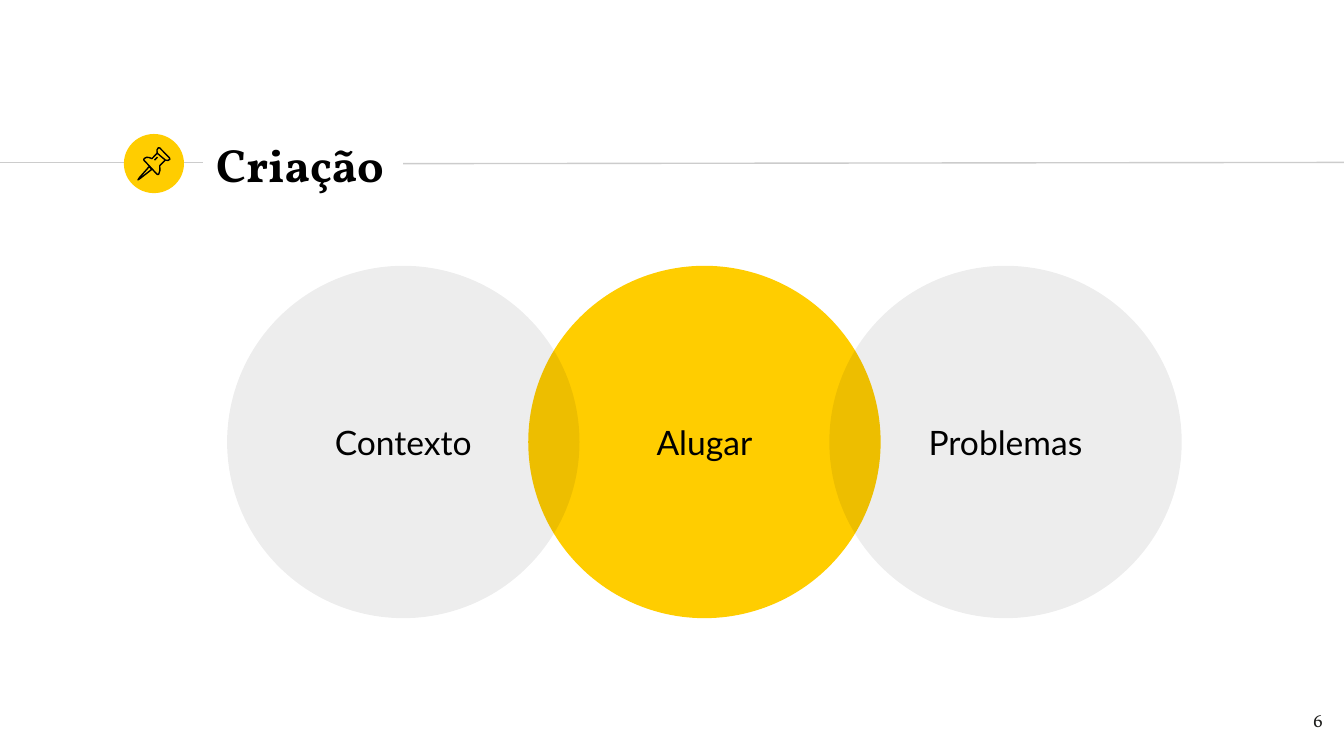
from lxml.etree import SubElement
from pptx import Presentation
from pptx.dml.color import RGBColor
from pptx.enum.shapes import MSO_CONNECTOR, MSO_SHAPE
from pptx.enum.text import MSO_ANCHOR, PP_ALIGN
from pptx.oxml.ns import qn
from pptx.util import Pt

YELLOW, BLACK, GREY = "FFCD00", "000000", "CCCCCC"
INSET = 7.2

# Pushpin outlines: points and whether the outline is closed
PIN_PARTS = [
    # Needle
    ([(79.9, 89.3), (74.9, 95), (73.9, 96.4), (75.2, 95.6), (81.4, 90.7)], True),
    # Head
    ([(84.2, 82.1), (88.6, 85.8), (90, 86), (91, 85.4), (90.8, 84.6),
      (85.6, 79.3), (84.8, 79.2), (84.1, 80.4)], True),
    # Body
    ([(84.2, 82.1), (81.4, 85), (79.9, 84.4), (78.5, 84.3), (77.2, 85),
      (77, 85.7), (84.2, 93.4), (85, 93.4), (85.7, 91.4), (85.6, 88.8),
      (88.6, 85.8)], False),
    # Glint
    ([(82.8, 85.8), (84.4, 84.2)], False),
]


def color(value):
    return RGBColor.from_string(value)


def write_text(shape, text, font, size, text_color, align, anchor, bold=False):
    frame = shape.text_frame
    frame.word_wrap = True
    frame.vertical_anchor = anchor
    frame.margin_left = frame.margin_right = Pt(INSET)
    frame.margin_top = frame.margin_bottom = Pt(INSET)
    paragraph = frame.paragraphs[0]
    paragraph.alignment = align
    run = paragraph.add_run()
    run.text = text
    run.font.name = font
    run.font.size = Pt(size)
    run.font.bold = bold
    run.font.color.rgb = color(text_color)


def add_rule(slide, start, end):
    line = slide.shapes.add_connector(
        MSO_CONNECTOR.STRAIGHT, *[Pt(value) for value in start + end])
    line.line.color.rgb = color(GREY)
    line.line.width = Pt(0.75)
    SubElement(line._element.spPr, qn("a:effectLst"))


def add_label(slide, box, text, **style):
    shape = slide.shapes.add_textbox(*[Pt(value) for value in box])
    write_text(shape, text, "Vollkorn", **style)


def add_disc(slide, kind, box, fill, opacity=100):
    disc = slide.shapes.add_shape(kind, *[Pt(value) for value in box])
    disc.shadow.inherit = False
    disc.line.fill.background()
    disc.fill.solid()
    disc.fill.fore_color.rgb = color(fill)
    if opacity < 100:
        fill_color = disc._element.spPr.find(qn("a:solidFill"))[0]
        SubElement(fill_color, qn("a:alpha"), val=str(opacity * 1000))
    return disc


def add_pin(slide):
    group = slide.shapes.add_group_shape()
    for outline, closed in PIN_PARTS:
        points = [(Pt(x), Pt(y)) for x, y in outline]
        builder = group.shapes.build_freeform(*points[0])
        builder.add_line_segments(points[1:], close=closed)
        part = builder.convert_to_shape()
        part.shadow.inherit = False
        part.fill.background()
        part.line.color.rgb = color(BLACK)
        part.line.width = Pt(0.75)


def add_venn(slide):
    left, top, diameter, step = 121.7, 142.4, 188.8, 161.3
    circles = [
        (1, "Alugar", YELLOW, 100),
        (0, "Contexto", BLACK, 7),
        (2, "Problemas", BLACK, 7),
    ]
    for column, text, fill, opacity in circles:
        box = (left + column * step, top, diameter, diameter)
        circle = add_disc(slide, MSO_SHAPE.OVAL, box, fill, opacity)
        write_text(circle, text, "Lato", 18, BLACK,
                   PP_ALIGN.CENTER, MSO_ANCHOR.MIDDLE)


def main():
    presentation = Presentation()
    presentation.slide_width, presentation.slide_height = Pt(720), Pt(405)
    slide = presentation.slides.add_slide(presentation.slide_layouts[6])

    # Rules on both sides of the title
    add_rule(slide, (-79.9, 87), (108.7, 87))
    add_rule(slide, (216, 87.7), (726.5, 87))

    # Page number and title
    add_label(slide, (672.5, 373.9, 43.2, 31), "6", size=10, text_color="1D1D1B",
              align=PP_ALIGN.RIGHT, anchor=MSO_ANCHOR.TOP)
    add_label(slide, (108.7, 70.6, 277.9, 34.6), "Criação", size=25,
              text_color=BLACK, align=PP_ALIGN.LEFT,
              anchor=MSO_ANCHOR.MIDDLE, bold=True)

    # Pushpin badge
    add_disc(slide, MSO_SHAPE.FLOWCHART_CONNECTOR, (66.4, 71.8, 32.2, 31.7), YELLOW)
    add_pin(slide)

    # Overlapping circles
    add_venn(slide)

    presentation.save("out.pptx")


if __name__ == "__main__":
    main()
